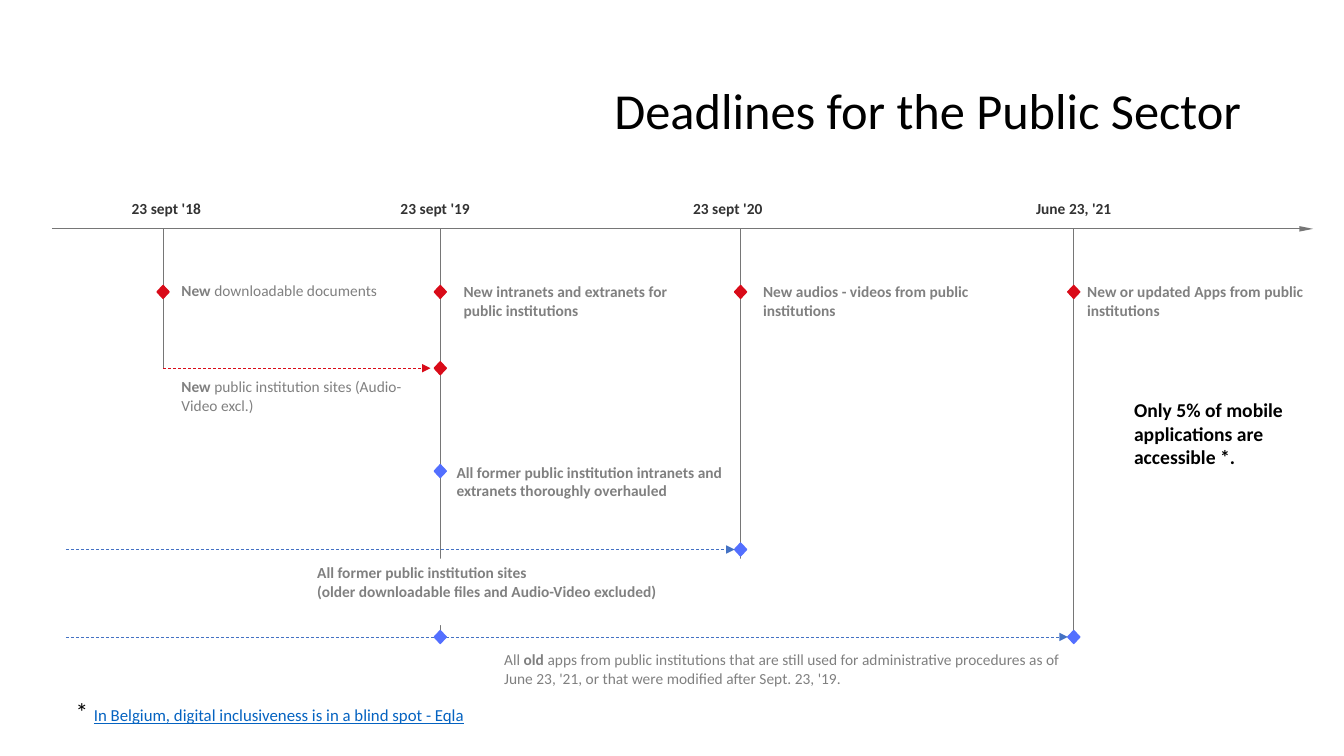
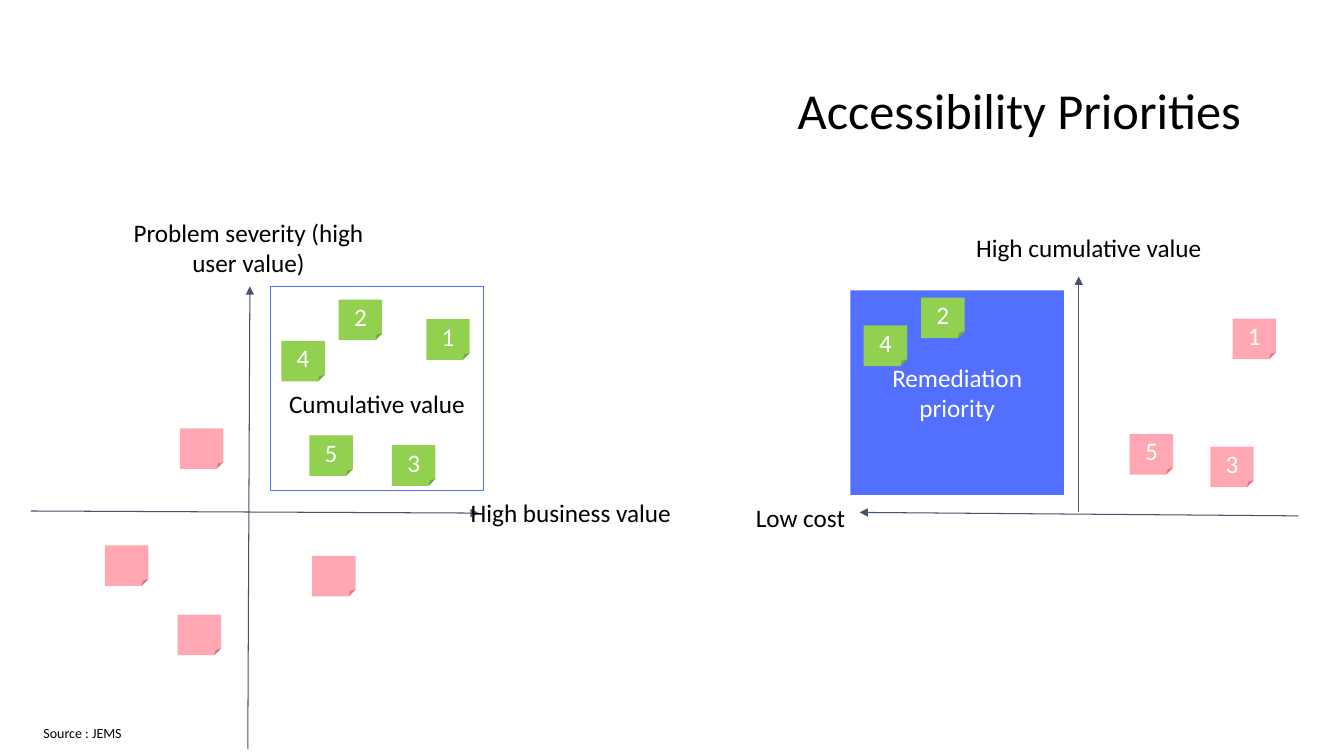
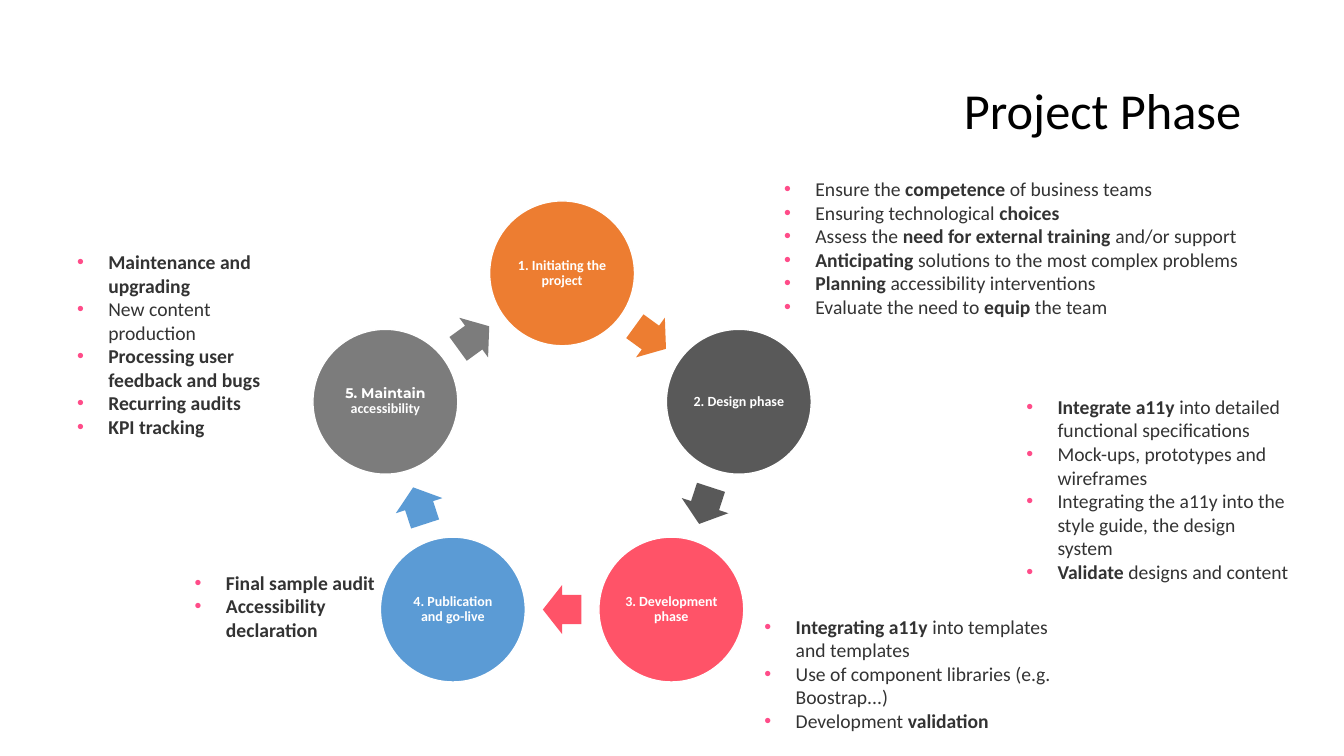
from dataclasses import dataclass
from math import cos, pi, sin

from lxml.etree import SubElement
from pptx import Presentation
from pptx.dml.color import RGBColor
from pptx.enum.dml import MSO_LINE
from pptx.enum.shapes import MSO_CONNECTOR, MSO_SHAPE
from pptx.enum.text import MSO_ANCHOR, PP_ALIGN
from pptx.oxml.ns import qn
from pptx.util import Pt


@dataclass(frozen=True)
class Theme:
    font: str = "Calibri"
    accent_font: str = "Montserrat"
    black: str = "000000"
    white: str = "FFFFFF"
    ink: str = "333333"
    muted: str = "808080"
    rule: str = "767676"
    axis: str = "44546A"
    red: str = "D90B19"
    blue: str = "536FFF"
    dash_blue: str = "4472C4"
    link: str = "0563C1"
    green: str = "92D050"
    coral: str = "FF5368"
    bullet: str = "FF4C89"
    orange: str = "ED7D31"
    charcoal: str = "595959"
    sky: str = "5B9BD5"
    grey: str = "7C7C7C"
    title_size: int = 36
    large: int = 18
    body: int = 14
    footnote: int = 12
    label: int = 11
    small: int = 10


THEME = Theme()


@dataclass(frozen=True)
class Box:
    """A rectangle in points."""
    left: float
    top: float
    width: float
    height: float

    def inner(self, x, y, width, height):
        return Box(self.left + x, self.top + y, width, height)

    def point(self, x, y):
        return self.left + x, self.top + y

    def lengths(self):
        return [Pt(v) for v in (self.left, self.top, self.width, self.height)]


def rgb(colour):
    return RGBColor.from_string(colour)


def write(frame, text, size, colour, bold=False, align=None, spacing=None):
    """Write one paragraph per line; ** switches bold on and off."""
    frame.word_wrap = True
    for i, line in enumerate(text.split("\n")):
        paragraph = frame.add_paragraph() if i else frame.paragraphs[0]
        paragraph.alignment = align
        paragraph.line_spacing = spacing
        for j, part in enumerate(line.split("**")):
            if part:
                run = paragraph.add_run()
                run.text = part
                run.font.name = THEME.font
                run.font.size = Pt(size)
                run.font.color.rgb = rgb(colour)
                run.font.bold = bold or j % 2 == 1


def set_margins(frame, left, top, right, bottom):
    frame.margin_left, frame.margin_top = Pt(left), Pt(top)
    frame.margin_right, frame.margin_bottom = Pt(right), Pt(bottom)


def add_text(slide, box, text, size, colour, **style):
    textbox = slide.shapes.add_textbox(*box.lengths())
    write(textbox.text_frame, text, size, colour, **style)
    return textbox


def add_figure(slide, kind, box, fill=None, line=None, line_width=1):
    figure = slide.shapes.add_shape(kind, *box.lengths())
    figure.shadow.inherit = False
    if fill:
        figure.fill.solid()
        figure.fill.fore_color.rgb = rgb(fill)
    else:
        figure.fill.background()
    if line:
        figure.line.color.rgb = rgb(line)
        figure.line.width = Pt(line_width)
    else:
        figure.line.fill.background()
    return figure


def add_line(slide, start, end, colour, width=0.75, dashed=False, arrow=None):
    """Draw a line; arrow holds the width and length of its end arrowhead."""
    line = slide.shapes.add_connector(
        MSO_CONNECTOR.STRAIGHT, *[Pt(v) for v in (*start, *end)])
    line.line.color.rgb = rgb(colour)
    line.line.width = Pt(width)
    if dashed:
        line.line.dash_style = MSO_LINE.DASH
    properties = line._element.spPr
    if arrow:
        SubElement(properties.find(qn("a:ln")), qn("a:tailEnd"),
                   type="triangle", w=arrow[0], len=arrow[1])
    SubElement(properties, qn("a:effectLst"))
    return line


MEDIUM_ARROW = ("med", "med")


def set_up_layout(deck):
    deck.slide_width, deck.slide_height = Pt(960), Pt(540)
    layout = deck.slide_layouts[5]
    title = layout.placeholders[0]
    title.left, title.top, title.width, title.height = Box(66, 29, 828, 104).lengths()
    return layout


def add_titled_slide(deck, layout, text):
    slide = deck.slides.add_slide(layout)
    frame = slide.shapes.title.text_frame
    frame.vertical_anchor = MSO_ANCHOR.MIDDLE
    write(frame, text, THEME.title_size, THEME.black,
          align=PP_ALIGN.RIGHT, spacing=0.9)
    return slide


# Deadlines

# date, its x, x of the milestone, end of its rule
MILESTONES = [
    ("23 sept '18", 50, 79.5, 124),
    ("23 sept '19", 242, 277.5, 319),
    ("23 sept '20", 451, 492, 260),
    ("June 23, '21", 696, 730, 316),
]
# x, y, width, text
DEADLINES = [
    (85.5, 58.5, 160, "**New** downloadable documents"),
    (85.5, 127, 191, "**New** public institution sites (Audio-Video excl.)"),
    (287, 59, 184, "**New intranets and extranets for public institutions**"),
    (501, 59, 184, "**New audios - videos from public institutions**"),
    (732.5, 59, 221, "**New or updated Apps from public institutions**"),
    (282, 188, 207, "**All former public institution intranets and extranets "
                    "thoroughly overhauled**"),
    (182.5, 260, 325, "**All former public institution sites**\n"
                      "**(older downloadable files and Audio-Video excluded)**"),
    (316, 322, 422, "All **old** apps from public institutions that are still used "
                    "for administrative procedures as of June 23, '21, or that "
                    "were modified after Sept. 23, '19."),
]
NEW_ROW, SITES_ROW, OVERHAUL_ROW, FORMER_ROW, OLD_APPS_ROW = 69.5, 124, 197.5, 253.5, 316


def add_marker(slide, box, milestone, y, colour):
    x = MILESTONES[milestone][2]
    return add_figure(slide, MSO_SHAPE.DIAMOND, box.inner(x - 4.3, y - 4.6, 8.6, 9.2),
                      colour, colour)


def add_timeline(slide, box):
    axis_y = 24.5
    add_line(slide, box.point(0, axis_y), box.point(box.width, axis_y), THEME.rule,
             arrow=("sm", "lg"))
    for date, date_x, x, end_y in MILESTONES:
        add_line(slide, box.point(x, end_y), box.point(x, axis_y), THEME.rule)
        add_text(slide, box.inner(date_x, 0, 80, 21), date,
                 THEME.label, THEME.ink, bold=True).text_frame.word_wrap = False

    for x, y, width, text in DEADLINES:
        height = 47.5 if y >= 260 else 34
        label = add_text(slide, box.inner(x, y, width, height), text,
                         THEME.label, THEME.muted)
        if height > 34:
            label.fill.solid()
            label.fill.fore_color.rgb = rgb(THEME.white)

    add_line(slide, box.point(MILESTONES[0][2], SITES_ROW), box.point(270.5, SITES_ROW),
             THEME.red, 0.5, dashed=True, arrow=MEDIUM_ARROW)
    for milestone, y in ((2, FORMER_ROW), (3, OLD_APPS_ROW)):
        deadline = add_marker(slide, box, milestone, y, THEME.blue)
        period = add_line(slide, box.point(10, y), box.point(100, y), THEME.dash_blue,
                          0.5, dashed=True, arrow=MEDIUM_ARROW)
        period.end_connect(deadline, 1)

    for milestone in range(len(MILESTONES)):
        add_marker(slide, box, milestone, NEW_ROW, THEME.red)
    for y, colour in ((SITES_ROW, THEME.red), (OVERHAUL_ROW, THEME.blue),
                      (OLD_APPS_ROW, THEME.blue)):
        add_marker(slide, box, 1, y, colour)


def add_reference(slide, box):
    reference = add_text(
        slide, box, "* **In Belgium, digital inclusiveness is in a blind spot - Eqla**",
        THEME.large, THEME.black)
    source = reference.text_frame.paragraphs[0].runs[1].font
    source.bold = False
    source.size = Pt(THEME.footnote)
    source.color.rgb = rgb(THEME.link)
    source.underline = True


def build_deadlines(deck, layout):
    slide = add_titled_slide(deck, layout, "Deadlines for the Public Sector")
    add_timeline(slide, Box(37, 139, 901, 370))
    add_text(slide, Box(803, 281, 132.5, 75),
             "Only 5% of mobile applications are accessible *.",
             THEME.body, THEME.black, bold=True)
    add_reference(slide, Box(47, 494, 573, 29))


# Priorities

def add_note(slide, box, number, colour):
    note = add_figure(slide, MSO_SHAPE.FOLDED_CORNER, box, colour)
    if colour == THEME.coral:
        fill_colour = note._element.spPr.find(qn("a:solidFill"))[0]
        SubElement(fill_colour, qn("a:alpha"), val="50000")
    if number:
        write(note.text_frame, number, THEME.large, THEME.white, align=PP_ALIGN.CENTER)
        note.text_frame.vertical_anchor = MSO_ANCHOR.MIDDLE


def add_matrix(slide, box, panel, axes, labels, notes):
    """Place a highlighted panel, two axes, their labels and sticky notes in box."""
    x, y, text, text_colour, fill, line, top_margin = panel
    area = add_figure(slide, MSO_SHAPE.RECTANGLE, box.inner(x, y, 152.5, 146),
                      fill, line, 0.75)
    write(area.text_frame, text, THEME.large, text_colour, align=PP_ALIGN.CENTER)
    set_margins(area.text_frame, 7.2, top_margin, 7.2, 7.2)
    area.text_frame.vertical_anchor = MSO_ANCHOR.MIDDLE
    for start, end in axes:
        add_line(slide, box.point(*start), box.point(*end), THEME.axis,
                 arrow=MEDIUM_ARROW)
    for place, text in labels:
        label = add_text(slide, box.inner(*place), text, THEME.large, THEME.black,
                         align=PP_ALIGN.CENTER)
        set_margins(label.text_frame, 7.2, 7.2, 7.2, 7.2)
    for x, y, number, colour in notes:
        add_note(slide, box.inner(x, y, 31, 29), number, colour)


def add_value_matrix(slide, box):
    add_matrix(
        slide, box,
        panel=(171, 56.5, "Cumulative value", THEME.black, None, THEME.blue, 29),
        axes=[((155, 387), (156.5, 56.5)), ((0, 217), (320, 218.5))],
        labels=[((60, 0, 191, 46), "Problem severity (high user value)"),
                ((305, 200, 161.5, 29), "High business value")],
        notes=[(220, 66, "2", THEME.green), (282.5, 80, "1", THEME.green),
               (258, 170, "3", THEME.green), (179, 95.5, "4", THEME.green),
               (199, 163, "5", THEME.green), (201, 249, "", THEME.coral),
               (53, 241.5, "", THEME.coral), (105, 291, "", THEME.coral),
               (106.5, 158, "", THEME.coral)])


def add_remediation_matrix(slide, box):
    add_matrix(
        slide, box,
        panel=(84.5, 49.5, "Remediation priority", THEME.white, THEME.blue, None, 7.2),
        axes=[((247.5, 208), (247.5, 39.5)), ((404.5, 210.5), (91, 208))],
        labels=[((158, 0.5, 193.5, 46), "High cumulative value"),
                ((0.5, 193.5, 96.5, 29), "Low cost")],
        notes=[(94, 74.5, "4", THEME.green), (135, 54.5, "2", THEME.green),
               (341.5, 161, "3", THEME.coral), (357.5, 69.5, "1", THEME.coral),
               (284, 152, "5", THEME.coral)])


def build_priorities(deck, layout):
    slide = add_titled_slide(deck, layout, "Accessibility Priorities")
    add_value_matrix(slide, Box(22, 148, 466, 387))
    add_remediation_matrix(slide, Box(523, 158, 405, 223))
    add_text(slide, Box(24, 514, 216, 19.5), "Source : JEMS", THEME.small, THEME.black)


# Project phases

PHASES = [
    ("1. Initiating the project", THEME.orange),
    ("2. Design phase", THEME.charcoal),
    ("3. Development phase", THEME.coral),
    ("4. Publication and go-live", THEME.sky),
    ("5. Maintain **accessibility**", THEME.grey),
]
PHASE_TASKS = [
    (Box(553, 123, 356.5, 148),
     "Ensure the **competence** of business teams\n"
     "Ensuring technological **choices**\n"
     "Assess the **need for external training **and/or support\n"
     "**Anticipating **solutions to the most complex problems\n"
     "**Planning** accessibility interventions\n"
     "Evaluate the need to **equip** the team"),
    (Box(726, 278.5, 204.5, 111),
     "**Integrate a11y **into detailed functional specifications\n"
     "Mock-ups, prototypes and wireframes\n"
     "Integrating the a11y into the style guide, the design system\n"
     "**Validate** designs and content"),
    (Box(539, 435.5, 240.5, 76),
     "**Integrating a11y **into templates and templates\n"
     "Use of component libraries (e.g. Boostrap...)\n"
     "Development **validation**"),
    (Box(132, 404, 152, 52),
     "**Final sample audit**\n**Accessibility declaration**"),
    (Box(48, 175, 152, 95),
     "**Maintenance and upgrading**\nNew content production\n"
     "**Processing user feedback and bugs**\n**Recurring audits**\n**KPI tracking**"),
]


def add_phase_cycle(slide, box):
    """Place the phases clockwise from the top, with an arrow after each."""
    diameter, arrow_width, arrow_height = 103.5, 27.5, 35
    radius = (box.width - diameter) / 2 / sin(2 * pi / 5)
    centre_x, centre_y = box.width / 2, diameter / 2 + radius

    def around(angle, distance, width, height):
        return box.inner(centre_x + distance * sin(angle) - width / 2,
                         centre_y - distance * cos(angle) - height / 2, width, height)

    step = 2 * pi / len(PHASES)
    for i, (text, colour) in enumerate(PHASES):
        phase = add_figure(slide, MSO_SHAPE.OVAL,
                           around(i * step, radius, diameter, diameter),
                           colour, THEME.white)
        frame = phase.text_frame
        write(frame, text, THEME.small, THEME.white, bold=True,
              align=PP_ALIGN.CENTER, spacing=0.9)
        set_margins(frame, 0.7, 0.7, 0.7, 0.7)
        frame.vertical_anchor = MSO_ANCHOR.MIDDLE
        if i == len(PHASES) - 1:
            frame.paragraphs[0].runs[0].font.name = THEME.accent_font

        arrow = add_figure(slide, MSO_SHAPE.RIGHT_ARROW,
                           around((i + 0.5) * step, radius * cos(step / 2),
                                  arrow_width, arrow_height), colour)
        arrow.adjustments[0], arrow.adjustments[1] = 0.6, 0.5
        arrow.rotation = (i + 0.5) * 360 / len(PHASES)


def add_bullet_list(slide, box, text):
    tasks = add_text(slide, box, text, THEME.body, THEME.ink)
    indent = Pt(22.3)
    for paragraph in tasks.text_frame.paragraphs:
        properties = paragraph._p.get_or_add_pPr()
        properties.set("marL", str(indent))
        properties.set("indent", str(-indent))
        SubElement(SubElement(properties, qn("a:buClr")), qn("a:srgbClr"),
                   val=THEME.bullet)
        SubElement(properties, qn("a:buFont"), typeface="Arial")
        SubElement(properties, qn("a:buChar"), char="•")


def build_phases(deck, layout):
    slide = add_titled_slide(deck, layout, "Project Phase")
    add_phase_cycle(slide, Box(223.5, 143.5, 356, 344))
    for box, text in PHASE_TASKS:
        add_bullet_list(slide, box, text)


def main():
    deck = Presentation()
    layout = set_up_layout(deck)
    build_deadlines(deck, layout)
    build_priorities(deck, layout)
    build_phases(deck, layout)
    deck.save("out.pptx")


if __name__ == "__main__":
    main()
